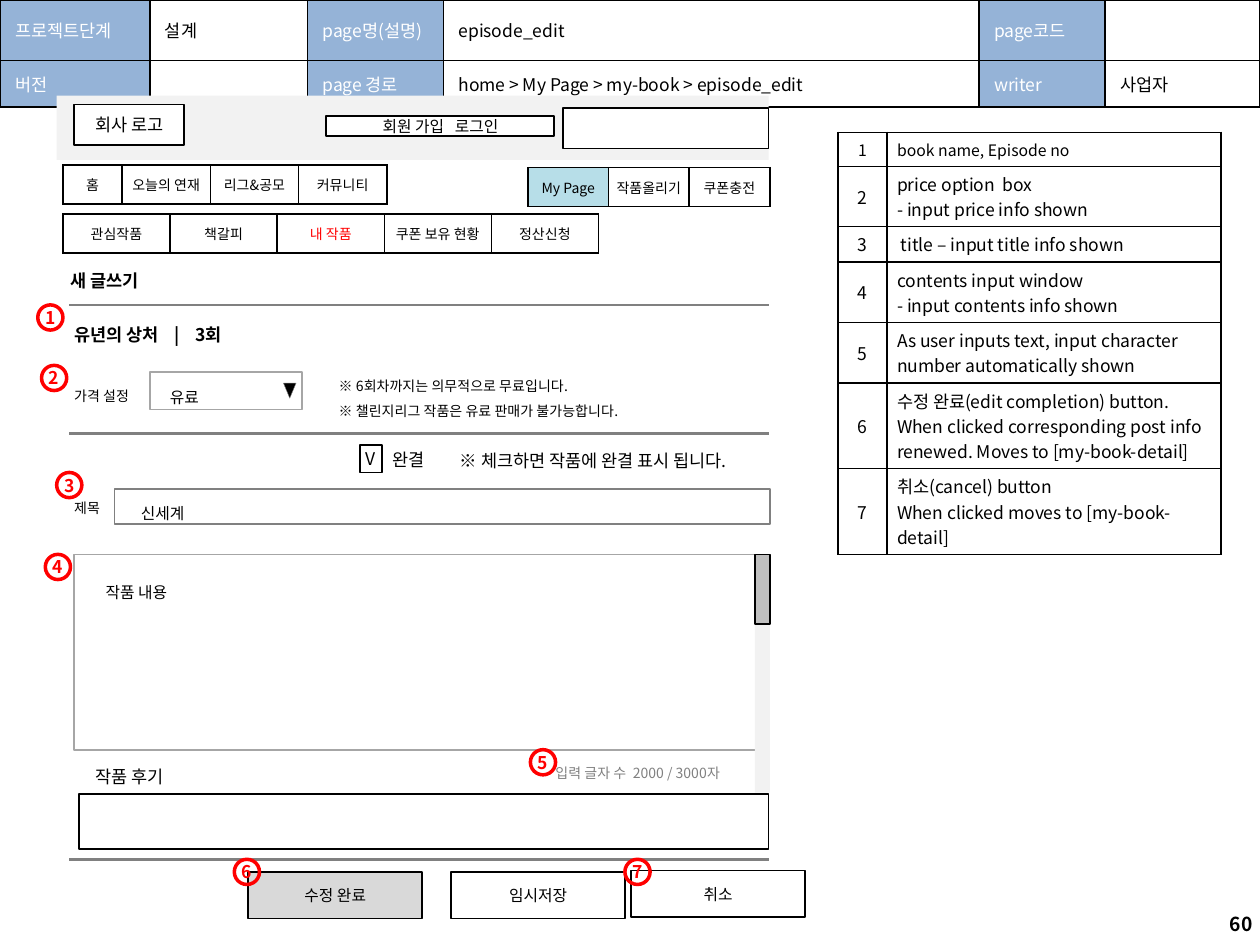
"""Builds the episode_edit wireframe page with its numbered notes."""
from lxml import etree
from pptx import Presentation
from pptx import util as u
from pptx.dml.color import RGBColor
from pptx.enum import shapes, text
from pptx.oxml import ns, parse_xml

FONT = "Noto Sans CJK KR"
BLACK, WHITE, GRAY, RED, BLUE = "000000", "FFFFFF", "808080", "FF0000", "95B3D7"
LEFT, CENTER, RIGHT = text.PP_ALIGN.LEFT, text.PP_ALIGN.CENTER, text.PP_ALIGN.RIGHT
MIDDLE, TOP = text.MSO_ANCHOR.MIDDLE, text.MSO_ANCHOR.TOP
RECT, OVAL = shapes.MSO_SHAPE.RECTANGLE, shapes.MSO_SHAPE.OVAL
TRIANGLE = shapes.MSO_SHAPE.FLOWCHART_MERGE


def write(frame, lines, size, color=BLACK, align=LEFT, bold=False, spacing=None):
    for index, line in enumerate(lines):
        para = frame.paragraphs[0] if index == 0 else frame.add_paragraph()
        para.alignment = align
        if spacing:
            para.line_spacing = spacing
        for number, part in enumerate(line.split("\n")):
            if number:
                para.add_line_break()
            span = para.add_run()
            span.text = part
            span.font.size = u.Pt(size)
            span.font.name = FONT
            span.font.bold = bold
            span.font.color.rgb = RGBColor.from_string(color)
            east = etree.SubElement(span.font._element, ns.qn("a:ea"))
            east.set("typeface", FONT)


def fill_cell(cell, words, size, color, align, fill, margins):
    cell.margin_left = cell.margin_right = u.Inches(margins[0])
    cell.margin_top = cell.margin_bottom = u.Inches(margins[1])
    cell.vertical_anchor = MIDDLE
    write(cell.text_frame, [words], size, color, align)
    properties = cell._tc.get_or_add_tcPr()
    for side in ("lnL", "lnR", "lnT", "lnB"):
        properties.append(parse_xml(
            f'<a:{side} {ns.nsdecls("a")} w="12700"><a:solidFill>'
            f'<a:srgbClr val="{BLACK}"/></a:solidFill></a:{side}>'))
    if fill:
        cell.fill.solid()
        cell.fill.fore_color.rgb = RGBColor.from_string(fill)
    else:
        cell.fill.background()


deck = Presentation()
deck.slide_width, deck.slide_height = u.Inches(10), u.Inches(7.5)
page = deck.slides.add_slide(deck.slide_layouts[6])

header = [
    ["프로젝트단계", "설계", "page명(설명)", "episode_edit", "page코드", ""],
    ["버전", "", "page 경로", "home > My Page > my-book > episode_edit", "writer", "사업자"],
]
notes = [
    "book name, Episode no",
    "price option  box\n- input price info shown",
    " title – input title info shown",
    "contents input window\n- input contents info shown",
    "As user inputs text, input character number automatically shown",
    "수정 완료(edit completion) button.\nWhen clicked corresponding post info renewed. Moves to [my-book-detail]",
    "취소(cancel) button\nWhen clicked moves to [my-book-detail]",
]
note_rows = [[str(number), note] for number, note in enumerate(notes, 1)]
main_menu = [["홈", "오늘의 연재", "리그&공모", "커뮤니티"]]
user_menu = [["My Page", "작품올리기", "쿠폰충전"]]
book_menu = [["관심작품", "책갈피", "내 작품", "쿠폰 보유 현황", "정산신청"]]

tables = [
    ("header", 0, 0, [1.19, 1.25, 1.08, 4.25, 1, 1.23], [0.38, 0.37], header, (0.12, 0.04)),
    ("notes", 6.65, 1.05, [0.39, 2.65], [0.27] * 7, note_rows, (0.08, 0.04)),
    ("menu", 0.5, 1.7, [0.85] * 5, [0.31], book_menu, (0.04, 0.05)),
    ("menu", 0.5, 1.31, [0.47] + [0.7] * 3, [0.31], main_menu, (0.04, 0.05)),
    ("menu", 4.19, 1.33, [0.64] * 3, [0.31], user_menu, (0.04, 0.05)),
]
for kind, left, top, widths, heights, rows, margins in tables:
    table = page.shapes.add_table(
        len(rows), len(widths), u.Inches(left), u.Inches(top),
        u.Inches(sum(widths)), u.Inches(sum(heights))).table
    table.first_row = table.horz_banding = False
    for column, width in zip(table.columns, widths):
        column.width = u.Inches(width)
    for row, height in zip(table.rows, heights):
        row.height = u.Inches(height)
    for y, row in enumerate(rows):
        for x, words in enumerate(row):
            size, color, align, fill = 10, BLACK, LEFT, None
            if kind == "header" and x % 2 == 0:
                color, fill = WHITE, BLUE
            elif kind == "notes":
                size = 9 if y == 0 else 10
                align = CENTER if x == 0 else LEFT
            elif kind == "menu":
                size, align = 8, CENTER
                color = RED if words == "내 작품" else BLACK
                fill = "B7DEE8" if words == "My Page" else WHITE
            fill_cell(table.cell(y, x), words, size, color, align, fill, margins)

boxes = [
    (RECT, 0.45, 0.76, 5.65, 0.51, "F2F2F2", None, 0, "", 9),
    (RECT, 0.59, 0.83, 0.87, 0.32, WHITE, BLACK, 1, "회사 로고", 10),
    (RECT, 2.59, 0.92, 1.81, 0.16, WHITE, BLACK, 1, "회원 가입   로그인", 9),
    (RECT, 4.47, 0.86, 1.63, 0.32, WHITE, BLACK, 1, "", 9),
    (RECT, 0.91, 3.88, 5.2, 0.28, None, GRAY, 1, "", 9),
    (RECT, 0.59, 4.4, 5.51, 1.55, WHITE, "A6A6A6", 1, "", 9),
    (RECT, 5.99, 4.4, 0.12, 1.89, "F2F2F2", None, 0, "", 9),
    (RECT, 5.99, 4.4, 0.12, 0.55, "BFBFBF", BLACK, 1, "", 9),
    (RECT, 1.19, 2.95, 1.21, 0.3, WHITE, "A6A6A6", 1, "", 9),
    (TRIANGLE, 2.25, 3.04, 0.1, 0.12, BLACK, GRAY, 0.25, "", 9),
    (RECT, 2.86, 3.53, 0.17, 0.22, None, BLACK, 1, "V", 10),
    (RECT, 0.63, 6.3, 5.47, 0.44, None, BLACK, 1, "", 9),
    (RECT, 1.97, 6.92, 1.38, 0.37, "D9D9D9", BLACK, 1, "수정 완료", 9),
    (RECT, 3.58, 6.92, 1.38, 0.37, WHITE, BLACK, 1, "임시저장", 9),
    (RECT, 5.01, 6.91, 1.38, 0.37, WHITE, BLACK, 1, "취소", 9),
]
marker_places = [(0.3, 2.42), (0.33, 2.9), (0.45, 3.75), (0.36, 4.4),
                 (4.21, 5.95), (1.86, 6.82), (4.96, 6.82)]
markers = [(OVAL, left, top, 0.2, 0.2, None, RED, 2, str(number), 10)
           for number, (left, top) in enumerate(marker_places, 1)]

for top in (2.42, 3.44, 6.82):
    rule = page.shapes.add_connector(
        shapes.MSO_CONNECTOR.STRAIGHT, u.Inches(0.55), u.Inches(top), u.Inches(6.1), u.Inches(top))
    rule.line.color.rgb = RGBColor.from_string(GRAY)
    rule.line.width = u.Pt(1.5)
    etree.SubElement(rule._element.spPr, ns.qn("a:effectLst"))

for preset, left, top, width, height, fill, line, weight, words, size in boxes + markers:
    box = page.shapes.add_shape(
        preset, u.Inches(left), u.Inches(top), u.Inches(width), u.Inches(height))
    box.shadow.inherit = False
    if fill:
        box.fill.solid()
        box.fill.fore_color.rgb = RGBColor.from_string(fill)
    else:
        box.fill.background()
    if line:
        box.line.color.rgb = RGBColor.from_string(line)
        box.line.width = u.Pt(weight)
    else:
        box.line.fill.background()
    if words:
        frame = box.text_frame
        frame.margin_left = frame.margin_right = frame.margin_top = frame.margin_bottom = 0
        frame.vertical_anchor = MIDDLE
        marked = preset == OVAL
        write(frame, [words], size, RED if marked else BLACK, CENTER, marked)

labels = [
    (7.71, 7.13, 2.33, 0.4, ["60"], 11, BLACK, RIGHT, True, None, True, (0.1, 0.05)),
    (0.48, 2.11, 2.14, 0.23, ["새 글쓰기"], 10, BLACK, LEFT, True, None, True, (0.08, 0.04)),
    (0.51, 2.54, 2.14, 0.23, ["유년의 상처    |    3회"], 10, BLACK, LEFT, True, None, True, (0.08, 0.04)),
    (0.49, 3.85, 0.41, 0.28, ["제목"], 8, BLACK, LEFT, False, 1.5, False, (0.1, 0.05)),
    (4.31, 5.95, 1.78, 0.3, ["입력 글자 수  2000 / 3000자"], 8, GRAY, LEFT, False, 1.5, True, (0.1, 0.05)),
    (0.49, 2.96, 0.65, 0.28, ["가격 설정"], 8, BLACK, LEFT, False, 1.5, False, (0.1, 0.05)),
    (1.25, 2.95, 0.45, 0.33, ["유료"], 9, BLACK, LEFT, False, 1.5, False, (0.1, 0.05)),
    (1.02, 3.87, 0.56, 0.3, ["신세계"], 9, BLACK, LEFT, False, 1.5, False, (0.1, 0.05)),
    (0.74, 4.5, 0.71, 0.3, ["작품 내용"], 9, BLACK, LEFT, False, 1.5, False, (0.1, 0.05)),
    (2.59, 2.88, 2.74, 0.5, ["※ 6회차까지는 의무적으로 무료입니다.", "※ 챌린지리그 작품은 유료 판매가 불가능합니다."],
     8, BLACK, LEFT, False, 1.5, False, (0.1, 0.05)),
    (3.03, 3.54, 0.43, 0.21, ["완결"], 10, BLACK, CENTER, False, None, True, (0, 0)),
    (3.65, 3.54, 2.38, 0.23, ["※ 체크하면 작품에 완결 표시 됩니다."], 10, BLACK, LEFT, False, None, True, (0, 0)),
    (0.66, 6.02, 1.2, 0.28, ["작품 후기"], 10, BLACK, LEFT, False, None, True, (0.1, 0.05)),
]
for left, top, width, height, lines, size, color, align, bold, spacing, wrap, margins in labels:
    box = page.shapes.add_textbox(u.Inches(left), u.Inches(top), u.Inches(width), u.Inches(height))
    frame = box.text_frame
    frame.word_wrap = wrap
    frame.margin_left = frame.margin_right = u.Inches(margins[0])
    frame.margin_top = frame.margin_bottom = u.Inches(margins[1])
    frame.vertical_anchor = TOP if spacing else MIDDLE
    if spacing:
        frame.auto_size = text.MSO_AUTO_SIZE.SHAPE_TO_FIT_TEXT
    write(frame, lines, size, color, align, bold, spacing)

deck.save("out.pptx")
